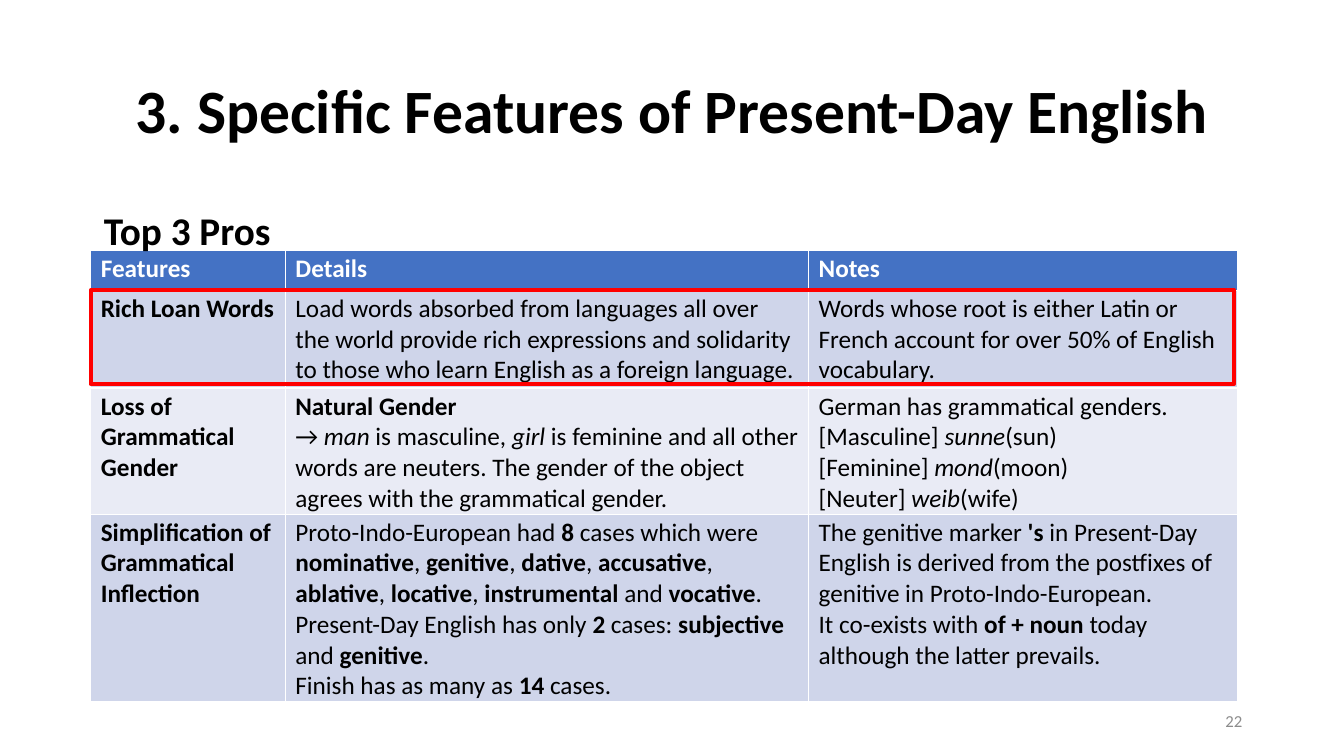
from pptx import Presentation
from pptx.dml.color import RGBColor
from pptx.enum.shapes import MSO_SHAPE
from pptx.enum.text import MSO_ANCHOR, MSO_AUTO_SIZE, PP_ALIGN
from pptx.oxml.ns import qn
from pptx.util import Inches, Pt
from lxml import etree

RECTANGLE = MSO_SHAPE.RECTANGLE
MIDDLE = MSO_ANCHOR.MIDDLE
TOP = MSO_ANCHOR.TOP
NO_AUTOFIT = MSO_AUTO_SIZE.NONE
LEFT, CENTER, RIGHT = PP_ALIGN.LEFT, PP_ALIGN.CENTER, PP_ALIGN.RIGHT

BLACK = RGBColor(0x00, 0x00, 0x00)
WHITE = RGBColor(0xFF, 0xFF, 0xFF)
GRAY = RGBColor(0x8C, 0x8C, 0x8C)
RED = RGBColor(0xFF, 0x00, 0x00)
HEADER_BLUE = RGBColor(0x44, 0x72, 0xC4)
BAND_DARK = RGBColor(0xCF, 0xD5, 0xEA)
BAND_LIGHT = RGBColor(0xE9, 0xEB, 0xF5)

COLUMN_WIDTHS = [1.93, 5.19, 4.26]
ROW_HEIGHTS = [0.4, 0.97, 1.25, 1.86]

# Markup: *bold*, _italic_, \v line break
FEATURES = [
    ["*Features*", "*Details*", "*Notes*"],
    [
        "*Rich Loan Words*",
        "Load words absorbed from languages all over\vthe world provide rich "
        "expressions and solidarity to those who learn English as a foreign language.",
        "Words whose root is either Latin or French account for over 50% of "
        "English vocabulary.",
    ],
    [
        "*Loss of Grammatical Gender*",
        "*Natural Gender*\n→ _man_ is masculine, _girl_ is feminine and all other "
        "words are neuters. The gender of the object agrees with the grammatical gender.",
        "German has grammatical genders.\v[Masculine] _sunne_(sun)\v"
        "[Feminine] _mond_(moon)\n[Neuter] _weib_(wife)",
    ],
    [
        "*Simplification of Grammatical Inflection*",
        "Proto-Indo-European had *8* cases which were *nominative*, *genitive*, "
        "*dative*, *accusative*, *ablative*, *locative*, *instrumental* and "
        "*vocative*. Present-Day English has only *2* cases: *subjective* and "
        "*genitive*.\nFinish has as many as *14* cases.",
        "The genitive marker *'s* in Present-Day English is derived from the "
        "postfixes of genitive in Proto-Indo-European.\n"
        "It co-exists with *of + noun* today\nalthough the latter prevails.",
    ],
]


class FeatureSlide:
    font_name = "Calibri"

    def __init__(self, presentation):
        self.slide = presentation.slides.add_slide(presentation.slide_layouts[1])

    def style(self, font, size, color, bold=False, italic=False):
        font.name = self.font_name
        font.size = Pt(size)
        font.color.rgb = color
        font.bold = bold
        font.italic = italic

    def place(self, shape, left, top, width, height):
        shape.left, shape.top = Inches(left), Inches(top)
        shape.width, shape.height = Inches(width), Inches(height)

    def fill_text(self, shape, text, size, color, align, anchor, bold=False):
        frame = shape.text_frame
        frame.text = text
        frame.word_wrap = True
        frame.auto_size = NO_AUTOFIT
        frame.vertical_anchor = anchor
        line = frame.paragraphs[0]
        line.alignment = align
        line.space_before = Pt(0)
        self.style(line.runs[0].font, size, color, bold)
        return line

    def title(self, text, *box):
        heading = self.slide.shapes.title
        self.place(heading, *box)
        self.fill_text(heading, text, 44, BLACK, CENTER, MIDDLE, True).line_spacing = 0.9

    def body(self, text, *box):
        subtitle = self.slide.placeholders[1]
        self.place(subtitle, *box)
        line = self.fill_text(subtitle, text, 28, BLACK, LEFT, TOP, True)
        properties = line._p.get_or_add_pPr()
        properties.set("marL", str(Inches(0.01)))
        properties.set("indent", "0")
        etree.SubElement(properties, qn("a:buNone"))

    def page_number(self, text, *box):
        number = self.slide.shapes.add_textbox(*map(Inches, box))
        self.fill_text(number, text, 12, GRAY, RIGHT, MIDDLE)

    def rich_paragraph(self, paragraph, marked_text, color):
        for bold_index, chunk in enumerate(marked_text.split("*")):
            for italic_index, phrase in enumerate(chunk.split("_")):
                for line_index, words in enumerate(phrase.split("\v")):
                    if line_index:
                        paragraph.add_line_break()
                    if words:
                        run = paragraph.add_run()
                        run.text = words
                        self.style(run.font, 18, color, bold_index % 2 == 1, italic_index % 2 == 1)

    def table(self, rows, left, top):
        holder = self.slide.shapes.add_table(
            len(rows), len(COLUMN_WIDTHS), Inches(left), Inches(top),
            Inches(sum(COLUMN_WIDTHS)), Inches(sum(ROW_HEIGHTS)))
        self.slide.shapes._spTree.insert(2, holder._element)
        grid = holder.table
        for column, width in zip(grid.columns, COLUMN_WIDTHS):
            column.width = Inches(width)
        for row_index, (entries, height) in enumerate(zip(rows, ROW_HEIGHTS)):
            grid.rows[row_index].height = Inches(height)
            band = BAND_DARK if row_index % 2 else BAND_LIGHT
            fill, color = (band, BLACK) if row_index else (HEADER_BLUE, WHITE)
            for column_index, entry in enumerate(entries):
                cell = grid.cell(row_index, column_index)
                cell.fill.solid()
                cell.fill.fore_color.rgb = fill
                cell.margin_left = Inches(0.1)
                cell.margin_right = Inches(0.08)
                cell.margin_top = Inches(0.03)
                cell.margin_bottom = 0
                for line_index, marked_text in enumerate(entry.split("\n")):
                    frame = cell.text_frame
                    paragraph = frame.add_paragraph() if line_index else frame.paragraphs[0]
                    self.rich_paragraph(paragraph, marked_text, color)

    def highlight(self, *box):
        outline = self.slide.shapes.add_shape(RECTANGLE, *map(Inches, box))
        outline.shadow.inherit = False
        outline.fill.background()
        outline.line.color.rgb = RED
        outline.line.width = Pt(3)


def main():
    presentation = Presentation()
    presentation.slide_width = Inches(13.33)
    presentation.slide_height = Inches(7.5)
    features = FeatureSlide(presentation)
    features.title("3. Specific Features of Present-Day English", 0.92, 0.4, 11.5, 1.45)
    features.page_number("22", 9.42, 6.95, 3, 0.4)
    features.body("Top 3 Pros", 0.92, 2, 11.5, 4.76)
    features.table(FEATURES, 0.9, 2.48)
    features.highlight(0.9, 2.88, 11.34, 0.93)
    presentation.save("out.pptx")


if __name__ == "__main__":
    main()
